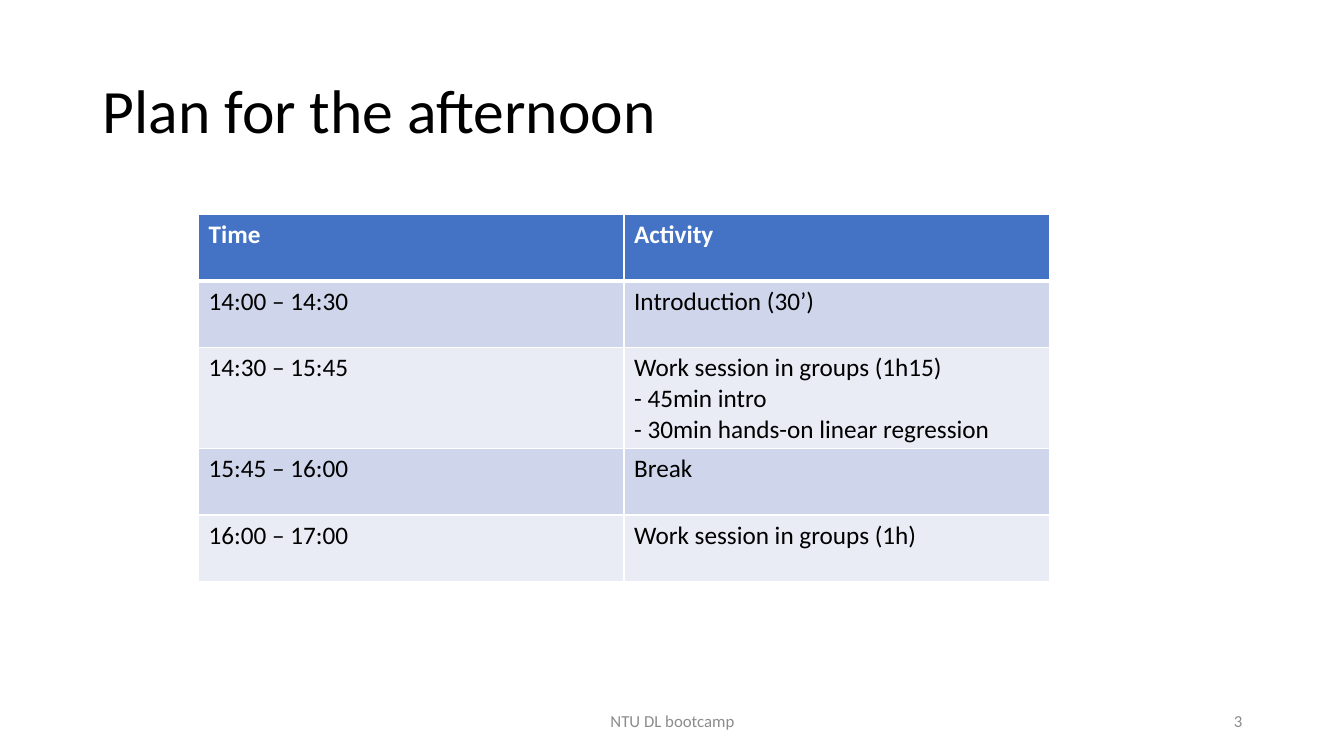
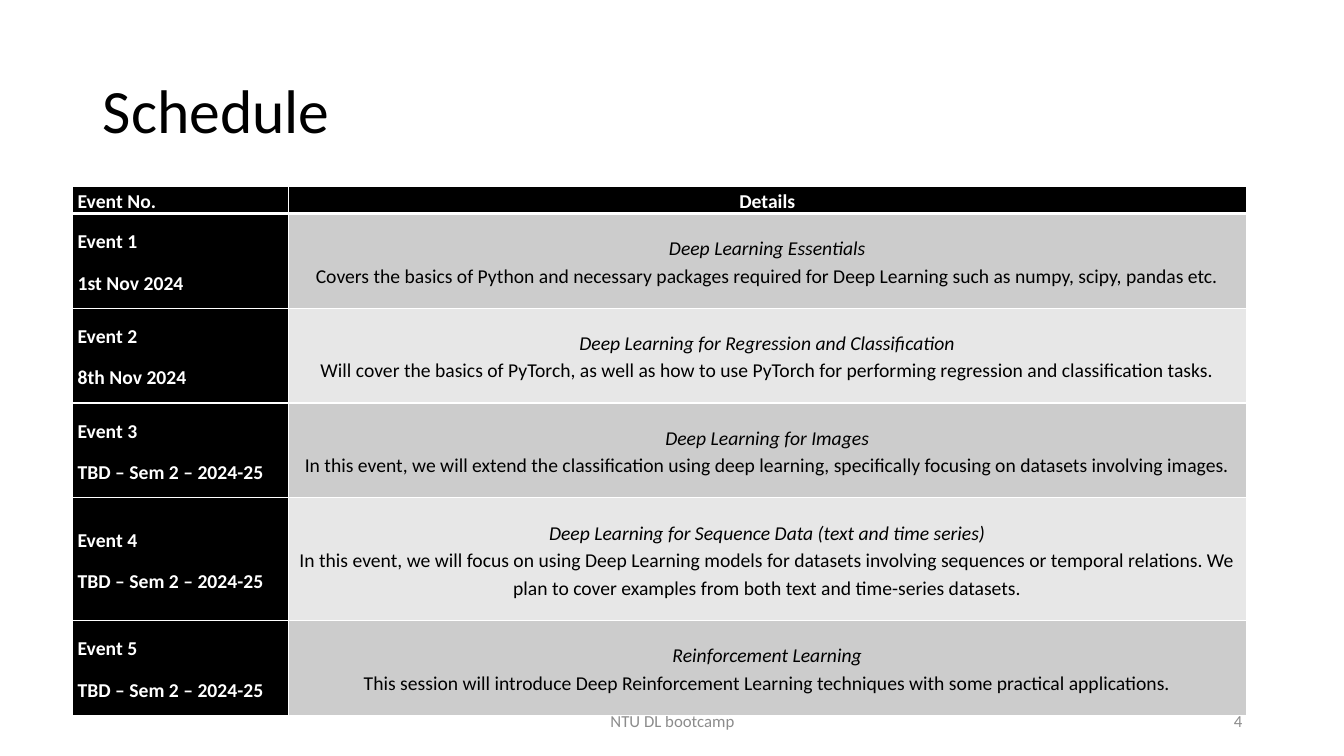
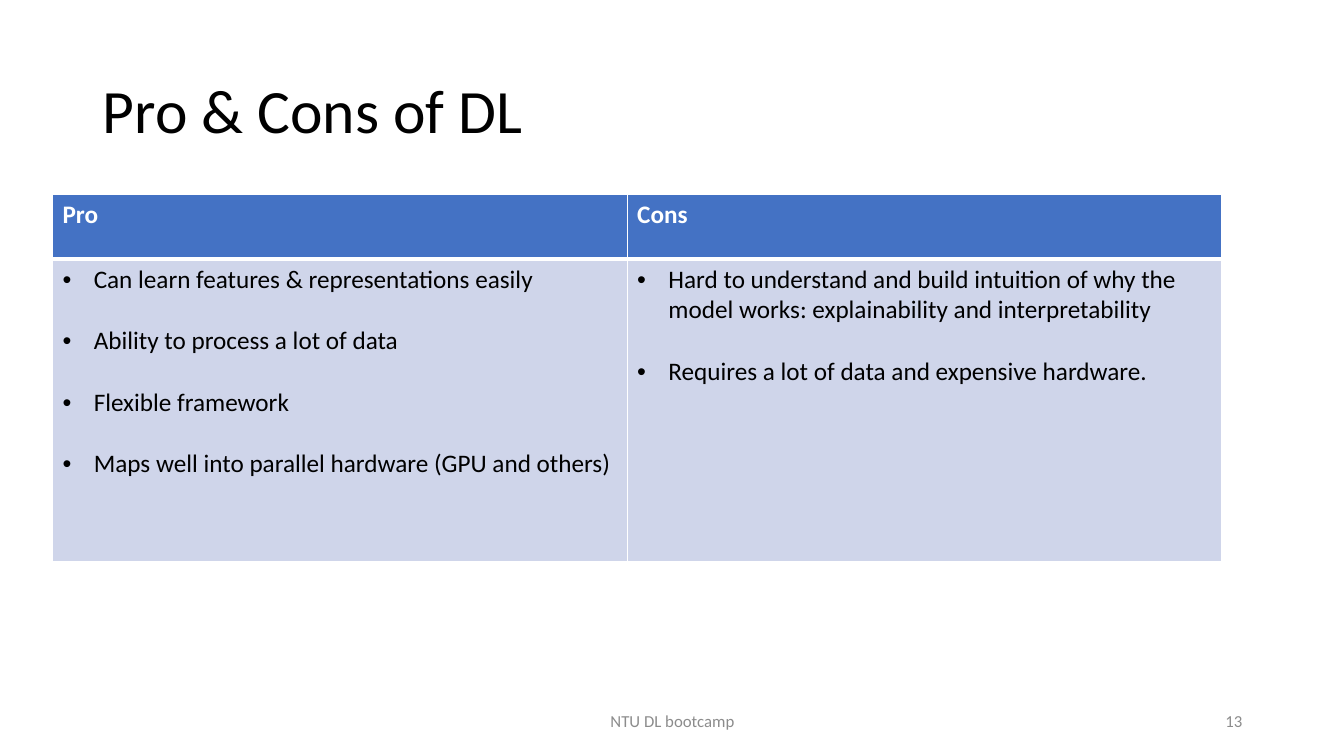
from lxml import etree
from pptx import Presentation
from pptx.dml.color import RGBColor
from pptx.enum.text import MSO_ANCHOR, MSO_AUTO_SIZE, PP_ALIGN
from pptx.oxml.ns import qn
from pptx.util import Pt

LEFT, CENTER, RIGHT, JUSTIFY = PP_ALIGN.LEFT, PP_ALIGN.CENTER, PP_ALIGN.RIGHT, PP_ALIGN.JUSTIFY
TOP, MIDDLE = MSO_ANCHOR.TOP, MSO_ANCHOR.MIDDLE

PX = 9144  # 100 px to the inch
FONT = "Calibri"
TITLE_LAYOUT = 5

BLACK = RGBColor(0x00, 0x00, 0x00)
WHITE = RGBColor(0xFF, 0xFF, 0xFF)
FOOTER_GREY = RGBColor(0x8C, 0x8C, 0x8C)
BLUE = RGBColor(0x44, 0x72, 0xC4)
BLUE_BANDS = (RGBColor(0xCF, 0xD5, 0xEA), RGBColor(0xE9, 0xEB, 0xF5))
GREY_BANDS = (RGBColor(0xCC, 0xCC, 0xCC), RGBColor(0xE7, 0xE7, 0xE7))

# Shared frame: left, top, width, height
TITLE_BOX = (92, 40, 1150, 145)
FOOTER_BOX = (442, 695, 450, 40)
NUMBER_BOX = (942, 695, 300, 40)
FOOTER = "NTU DL bootcamp"

# Content: each table cell is a list of paragraphs
PLAN = [
    (["Time"], ["Activity"]),
    (["14:00 – 14:30"], ["Introduction (30’)"]),
    (["14:30 – 15:45"], ["Work session in groups (1h15)",
                         "- 45min intro",
                         "- 30min hands-on linear regression"]),
    (["15:45 – 16:00"], ["Break"]),
    (["16:00 – 17:00"], ["Work session in groups (1h)"]),
]

SCHEDULE_HEADER = ("Event No.", "Details")
UNDATED = "TBD – Sem 2 – 2024-25"
EVENTS = [
    ("1st Nov 2024", "Deep Learning Essentials",
     "Covers the basics of Python and necessary packages required for Deep Learning "
     "such as numpy, scipy, pandas etc."),
    ("8th Nov 2024", "Deep Learning for Regression and Classification",
     "Will cover the basics of PyTorch, as well as how to use PyTorch for performing "
     "regression and classification tasks."),
    (UNDATED, "Deep Learning for Images",
     "In this event, we will extend the classification using deep learning, "
     "specifically focusing on datasets involving images."),
    (UNDATED, "Deep Learning for Sequence Data (text and time series)",
     "In this event, we will focus on using Deep Learning models for datasets involving "
     "sequences or temporal relations. We plan to cover examples from both text and "
     "time-series datasets."),
    (UNDATED, "Reinforcement Learning",
     "This session will introduce Deep Reinforcement Learning techniques with some "
     "practical applications."),
]

PROS_CONS = [
    (["Pro"], ["Cons"]),
    (["Can learn features & representations easily",
      "Ability to process a lot of data",
      "Flexible framework",
      "Maps well into parallel hardware (GPU and others)"],
     ["Hard to understand and build intuition of why the model works: "
      "explainability and interpretability",
      "Requires a lot of data and expensive hardware."]),
]


def add_run(paragraph, text, size, color, bold=False, italic=False):
    run = paragraph.add_run()
    run.text = text
    font = run.font
    font.name, font.size, font.bold, font.italic = FONT, Pt(size), bold, italic
    font.color.rgb = color


def add_label(slide, box, text, align):
    frame = slide.shapes.add_textbox(*(v * PX for v in box)).text_frame
    frame.word_wrap = True
    frame.vertical_anchor = MIDDLE
    paragraph = frame.paragraphs[0]
    paragraph.alignment = align
    add_run(paragraph, text, 12, FOOTER_GREY)


def add_slide(prs, title_text, number):
    """A slide with the shared title, footer and page number."""
    slide = prs.slides.add_slide(prs.slide_layouts[TITLE_LAYOUT])
    title = slide.shapes.title
    title.left, title.top, title.width, title.height = (v * PX for v in TITLE_BOX)
    frame = title.text_frame
    frame.word_wrap = True
    frame.auto_size = MSO_AUTO_SIZE.NONE
    frame.vertical_anchor = MIDDLE
    paragraph = frame.paragraphs[0]
    paragraph.alignment = LEFT
    paragraph.line_spacing = 0.9
    add_run(paragraph, title_text, 44, BLACK)
    add_label(slide, FOOTER_BOX, FOOTER, CENTER)
    add_label(slide, NUMBER_BOX, str(number), RIGHT)
    return slide


def set_borders(cell, row_index):
    """White 1 pt lines, with a 3 pt line under the header row."""
    widths = {"lnL": 1, "lnR": 1,
              "lnT": 3 if row_index == 1 else 1,
              "lnB": 3 if row_index == 0 else 1}
    properties = cell._tc.get_or_add_tcPr()
    for side, width in widths.items():
        line = etree.SubElement(properties, qn("a:" + side), w=str(Pt(width)))
        fill = etree.SubElement(line, qn("a:solidFill"))
        etree.SubElement(fill, qn("a:srgbClr"), val=str(WHITE))


def add_grid(slide, left, top, columns, rows):
    """An empty table with the shared borders."""
    table = slide.shapes.add_table(len(rows), len(columns), left * PX, top * PX,
                                   sum(columns) * PX, sum(rows) * PX).table
    table.horz_banding = False
    for column, width in zip(table.columns, columns):
        column.width = width * PX
    for row_index, (row, height) in enumerate(zip(table.rows, rows)):
        row.height = height * PX
        for cell in row.cells:
            set_borders(cell, row_index)
    return table


def fill_cell(cell, color):
    cell.fill.solid()
    cell.fill.fore_color.rgb = color


def cell_paragraphs(cell, count):
    frame = cell.text_frame
    return [frame.paragraphs[0]] + [frame.add_paragraph() for _ in range(count - 1)]


def add_bullet(paragraph):
    properties = paragraph._p.get_or_add_pPr()
    properties.set("marL", str(31 * PX))
    properties.set("indent", str(-31 * PX))
    etree.SubElement(properties, qn("a:buFont"), typeface="Arial")
    etree.SubElement(properties, qn("a:buChar"), char="•")


def fill_blue_table(table, content, bulleted=False):
    for row_index, row in enumerate(content):
        header = row_index == 0
        for cell, texts in zip(table.rows[row_index].cells, row):
            fill_cell(cell, BLUE if header else BLUE_BANDS[(row_index - 1) % 2])
            cell.vertical_anchor = TOP
            for i, (paragraph, text) in enumerate(zip(cell_paragraphs(cell, len(texts)), texts)):
                if bulleted and not header:
                    if i:
                        paragraph.space_before = Pt(22)
                    add_bullet(paragraph)
                add_run(paragraph, text, 18, WHITE if header else BLACK, bold=header)


def schedule_cell(cell, color, align, paragraphs):
    """Each paragraph is a list of lines; a line is (text, colour, bold, italic)."""
    fill_cell(cell, color)
    cell.vertical_anchor = MIDDLE
    cell.margin_left = cell.margin_right = 5 * PX
    cell.margin_top = cell.margin_bottom = 0
    for paragraph, lines in zip(cell_paragraphs(cell, len(paragraphs)), paragraphs):
        paragraph.alignment = align
        paragraph.line_spacing = 1.15
        paragraph.space_after = Pt(10)
        for i, (text, text_color, bold, italic) in enumerate(lines):
            if i:
                paragraph.add_line_break()
            add_run(paragraph, text, 14, text_color, bold, italic)


def fill_schedule(table):
    for cell, text, align in zip(table.rows[0].cells, SCHEDULE_HEADER, (JUSTIFY, CENTER)):
        schedule_cell(cell, BLACK, align, [[(text, WHITE, True, False)]])
    for number, (date, topic, details) in enumerate(EVENTS, start=1):
        event_cell, details_cell = table.rows[number].cells
        schedule_cell(event_cell, BLACK, JUSTIFY,
                      [[(text, WHITE, True, False)] for text in (f"Event {number}", date)])
        schedule_cell(details_cell, GREY_BANDS[(number - 1) % 2], CENTER,
                      [[(topic, BLACK, False, True), (details, BLACK, False, False)]])


def main():
    prs = Presentation()
    prs.slide_width, prs.slide_height = 1333 * PX, 750 * PX

    # Plan
    slide = add_slide(prs, "Plan for the afternoon", 3)
    plan = add_grid(slide, 197, 213, [422, 422], [66, 66, 98, 66, 66])
    fill_blue_table(plan, PLAN)

    # Schedule
    slide = add_slide(prs, "Schedule", 4)
    schedule = add_grid(slide, 72, 185, [214, 950], [26, 94, 94, 94, 122, 94])
    fill_schedule(schedule)

    # Pros and cons
    slide = add_slide(prs, "Pro & Cons of DL", 13)
    pros_cons = add_grid(slide, 52, 193, [570, 590], [64, 300])
    fill_blue_table(pros_cons, PROS_CONS, bulleted=True)

    prs.save("out.pptx")


if __name__ == "__main__":
    main()
